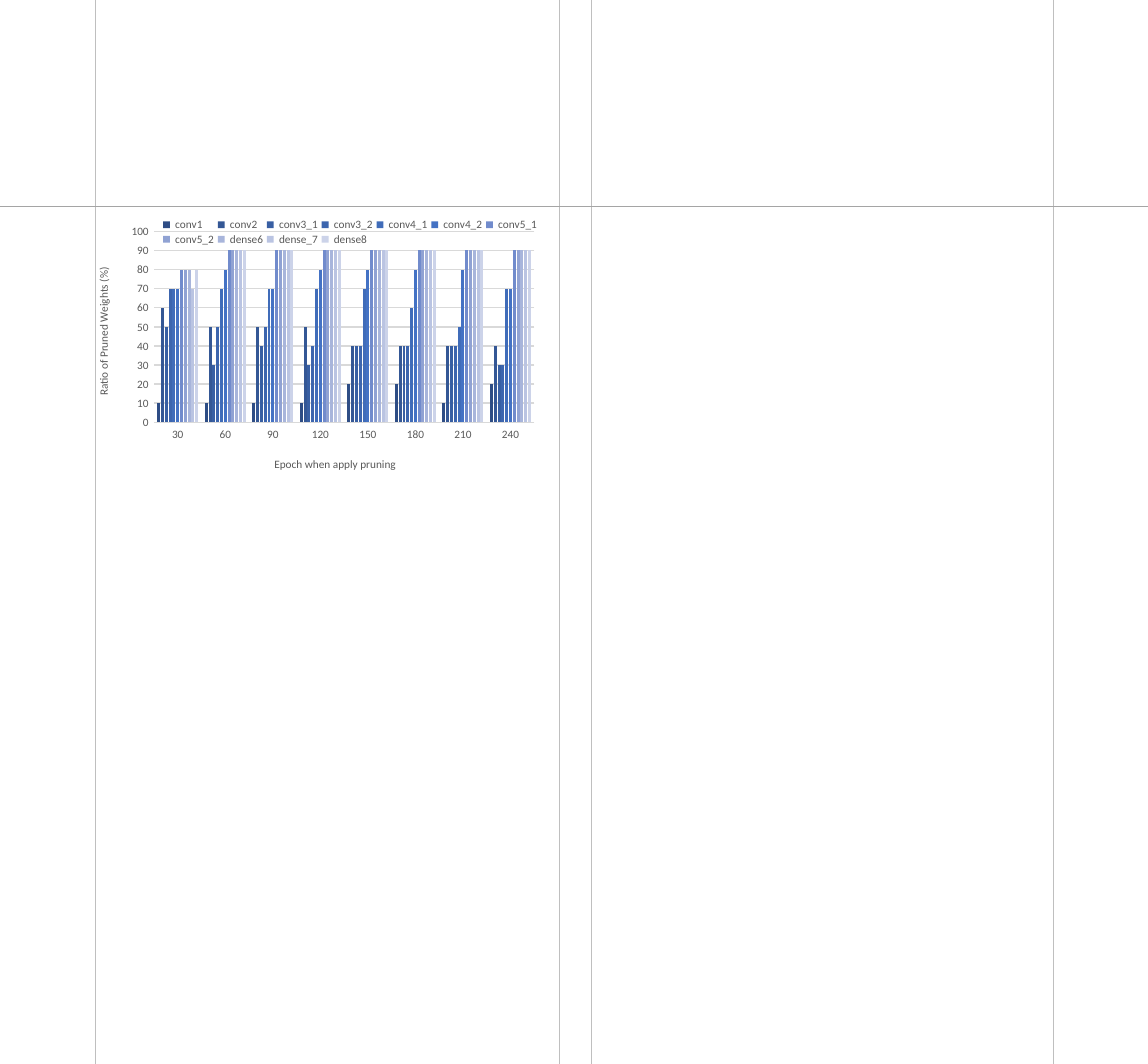
from dataclasses import dataclass

from lxml import etree
from pptx import Presentation, util as u
from pptx.chart.data import CategoryChartData
from pptx.dml.color import RGBColor
from pptx.enum import chart as c, shapes
from pptx.oxml.ns import qn


@dataclass(frozen=True)
class Theme:
    font: str = "Calibri"
    size: float = 6
    text: str = "595959"
    grid: str = "D9D9D9"
    guide: str = "BFBFBF"
    rule: str = "A5A5A5"
    guide_width: float = 0.5
    grid_width: float = 0.75


THEME = Theme()
WIDTH, HEIGHT = 8.5, 7.88
COLUMN_EDGES = (0.71, 4.14, 4.38, 7.8)
HEADER_RULE = 1.53
CHART_BOX = (0.62, 1.57, 3.49, 1.97)

EPOCHS = [str(epoch) for epoch in range(30, 241, 30)]
DENSE = [80] + [90] * 7
LAYERS = [
    ("conv1", "2E4D85", [10, 10, 10, 10, 20, 20, 10, 20]),
    ("conv2", "345795", [60, 50, 50, 50, 40, 40, 40, 40]),
    ("conv3_1", "385FA3", [50, 30, 40, 30, 40, 40, 40, 30]),
    ("conv3_2", "3C65AE", [70, 50, 50, 40, 40, 40, 40, 30]),
    ("conv4_1", "406CB9", [70, 70, 70, 70, 70, 60, 50, 70]),
    ("conv4_2", "4472C4", [70, 80, 70, 80, 80, 80, 80, 70]),
    ("conv5_1", "718BCC", DENSE),
    ("conv5_2", "90A2D3", DENSE),
    ("dense6", "A8B5DB", DENSE),
    ("dense_7", "BAC4E2", [70] + DENSE[1:]),
    ("dense8", "CCD3E9", DENSE),
]


def set_values(target, **values):
    for name, value in values.items():
        setattr(target, name, value)


def style_font(font):
    set_values(font, name=THEME.font, size=u.Pt(THEME.size), bold=False)
    font.color.rgb = RGBColor.from_string(THEME.text)


def style_line(line, color, width):
    line.color.rgb = RGBColor.from_string(color)
    line.width = u.Pt(width)


def add_rule(page, start, end, color):
    """Draw a thin page line without a shadow."""
    points = [u.Inches(value) for value in (*start, *end)]
    rule = page.shapes.add_connector(shapes.MSO_CONNECTOR.STRAIGHT, *points)
    style_line(rule.line, color, THEME.guide_width)
    etree.SubElement(rule._element.spPr, qn("a:effectLst"))


def place(element, **shares):
    """Place a chart part by shares of the chart's size."""
    for old in element.findall(qn("c:layout")):
        element.remove(old)
    layout = etree.Element(qn("c:layout"))
    manual = etree.SubElement(layout, qn("c:manualLayout"))
    entries = {"xMode": "edge", "yMode": "edge", **shares}
    if element.tag == qn("c:plotArea"):
        entries = {"layoutTarget": "inner", **entries}
    for name, value in entries.items():
        etree.SubElement(manual, qn(f"c:{name}")).set("val", str(value))
    overlay = element.find(qn("c:overlay"))
    if overlay is None:
        element.insert(0, layout)
    else:
        overlay.addprevious(layout)


def style_axis(axis, title, **position):
    set_values(axis, major_tick_mark=c.XL_TICK_MARK.NONE,
               minor_tick_mark=c.XL_TICK_MARK.NONE)
    style_font(axis.tick_labels.font)
    frame = axis.axis_title.text_frame
    frame.text = title
    style_font(frame.paragraphs[0].runs[0].font)
    place(axis.axis_title._element, **position)


def add_pruning_chart(page):
    data = CategoryChartData()
    data.categories = EPOCHS
    for name, _, ratios in LAYERS:
        data.add_series(name, ratios)
    box = [u.Inches(value) for value in CHART_BOX]
    chart = page.shapes.add_chart(
        c.XL_CHART_TYPE.COLUMN_CLUSTERED, *box, data).chart
    set_values(chart, has_title=False, has_legend=True)
    style_font(chart.font)

    # Columns
    plot = chart.plots[0]
    set_values(plot, gap_width=219, overlap=-27, vary_by_categories=False)
    for series, (_, color, _) in zip(plot.series, LAYERS):
        series.format.fill.solid()
        series.format.fill.fore_color.rgb = RGBColor.from_string(color)
    place(chart._chartSpace.chart.plotArea, x=0.149, y=0.073, w=0.807, h=0.718)

    # Axes
    style_axis(chart.category_axis, "Epoch when apply pruning", x=0.4, y=0.91)
    style_line(chart.category_axis.format.line, THEME.grid, THEME.grid_width)
    ratio_axis = chart.value_axis
    style_axis(ratio_axis, "Ratio of Pruned Weights (%)", x=0.02, y=0.2)
    set_values(ratio_axis, minimum_scale=0, maximum_scale=100, major_unit=10,
               has_major_gridlines=True)
    ratio_axis.format.line.fill.background()
    style_line(ratio_axis.major_gridlines.format.line,
               THEME.grid, THEME.grid_width)

    # Legend over the top of the columns
    set_values(chart.legend, position=c.XL_LEGEND_POSITION.BOTTOM,
               include_in_layout=False)
    style_font(chart.legend.font)
    place(chart.legend._element, x=0.16, y=0.02, w=0.81, h=0.11)


def main():
    deck = Presentation()
    set_values(deck, slide_width=u.Inches(WIDTH), slide_height=u.Inches(HEIGHT))
    page = deck.slides.add_slide(deck.slide_layouts.get_by_name("Blank"))
    # Column guides and header rule
    for edge in COLUMN_EDGES:
        add_rule(page, (edge, 0), (edge, HEIGHT), THEME.guide)
    add_rule(page, (0, HEADER_RULE), (WIDTH, HEADER_RULE), THEME.rule)
    add_pruning_chart(page)
    deck.save("out.pptx")


main()
